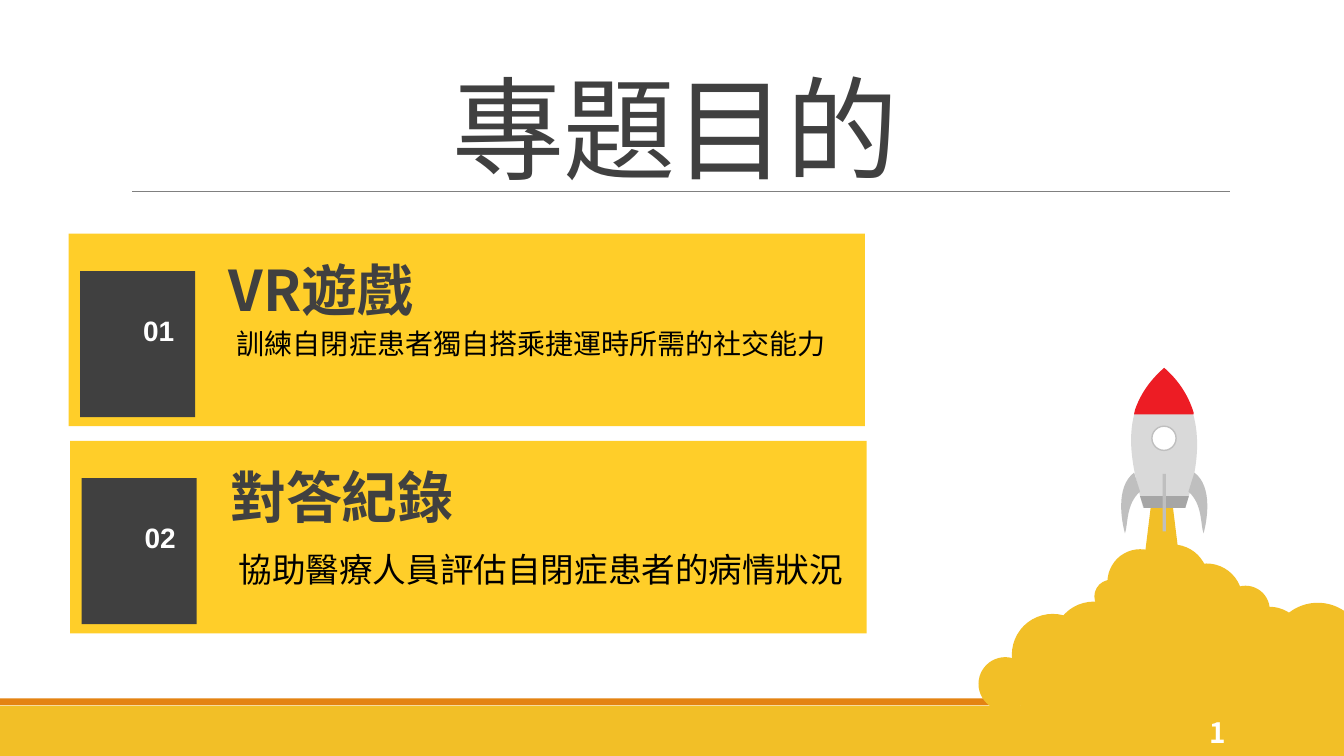
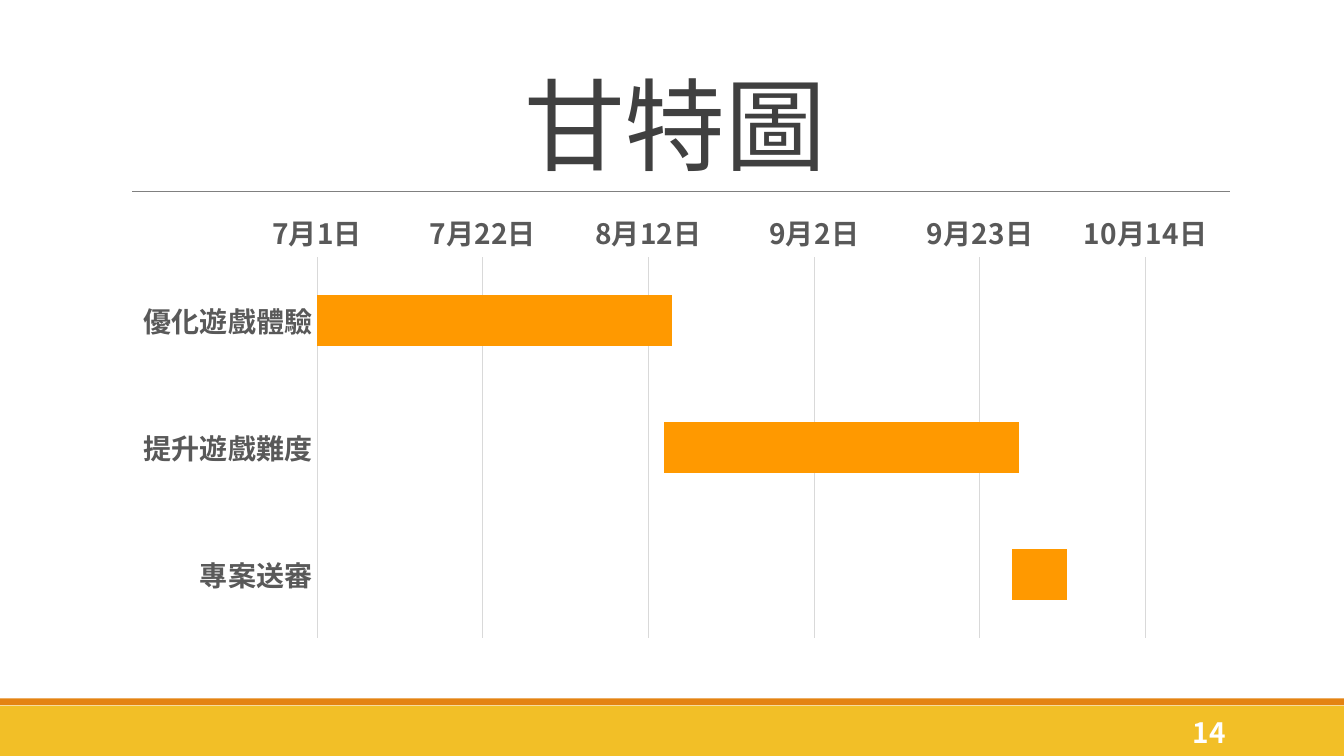
"""Build two project slides: the goals with a rocket, and a Gantt chart."""
from dataclasses import dataclass

from lxml import etree
from pptx import Presentation
from pptx import util as u
from pptx.chart.data import CategoryChartData
from pptx.dml.color import RGBColor
from pptx.enum import chart as ch, shapes, text
from pptx.oxml.ns import qn

Cm, Pt = u.Cm, u.Pt
KIND = shapes.MSO_SHAPE
ANCHOR, ALIGN = text.MSO_ANCHOR, text.PP_ALIGN


@dataclass(frozen=True)
class Theme:
    band: str = "F2BF27"
    stripe: str = "E48312"
    rule: str = "808080"
    dark: str = "404040"
    card: str = "FFCE29"
    white: str = "FFFFFF"
    black: str = "000000"
    hull: str = "D9D9D9"
    base: str = "A6A6A6"
    fin: str = "BFBFBF"
    nose: str = "ED1C24"
    axis: str = "595959"
    grid: str = "D9D9D9"
    bar: str = "FF9900"
    font: str = "Noto Sans CJK JP"
    number_font: str = "Arial"
    heading: float = 40
    label: float = 20


T = Theme()
WIDTH, HEIGHT = 33.87, 19.05

GOALS = {
    "title": "專題目的", "title_size": 80.1, "title_top": 2.46, "title_inset": 1.61, "page": "1",
    "cards": [
        ("01", "VR遊戲", "訓練自閉症患者獨自搭乘捷運時所需的社交能力", 20, 2.21, 1.12),
        ("02", "對答紀錄", "協助醫療人員評估自閉症患者的病情狀況", 24, 2.59, 1.27),
    ],
}
GANTT = {
    "title": "甘特圖", "title_size": 72, "title_top": 2.26, "title_inset": 1.67, "page": "14",
    "first_day": 44013, "last_day": 44118, "step": 21,
    "tasks": [("優化遊戲體驗", 44013, 45), ("提升遊戲難度", 44057, 45), ("專案送審", 44101, 7)],
}

SMOKE = [
    (27.91, 13.84, 1.65), (27.58, 14.61, 0.84), (26.54, 15.16, 2.06), (25.5, 15.47, 2.06),
    (24.66, 16.56, 1.35), (25.73, 17.04, 1.35), (26.67, 15.67, 3.18), (29.16, 17.4, 1.35),
    (30.3, 17.35, 1.35), (30.96, 16.43, 2.36), (32.69, 16.92, 1.35), (32.03, 15.19, 2.36),
    (28.65, 13.72, 1.8), (29.51, 14.2, 1.8), (30.78, 14.76, 1.22), (31.09, 15.29, 1.8),
    (27.86, 14.58, 3.68),
]
NOSE_TIP = (29.34, 9.27)
HULL = [(-0.53, 3.53),
        ((-0.81, 2.44), (-1.24, 1.07), (0, 0)),
        ((1.22, 1.12), (0.81, 2.64), (0.53, 3.53))]
BASE = [(-0.61, 3.23), (0.62, 3.23), (0.53, 3.53), (-0.51, 3.53)]
NOSE = [(0, 0),
        ((0.38, 0.33), (0.61, 0.71), (0.74, 1.12)),
        (0.74, 1.17), (-0.76, 1.17), (-0.74, 1.07),
        ((-0.61, 0.69), (-0.38, 0.33), (0, 0))]
FIN = [(-0.76, 2.64), (-0.61, 3.12),
       ((-0.97, 3.43), (-0.91, 3.96), (-0.99, 4.17)),
       ((-1.07, 3.89), (-1.24, 3.0), (-0.76, 2.64))]


def rgb(value):
    return RGBColor.from_string(value)


def style_font(font, size, color, bold=False, name=T.font):
    font.size, font.bold, font.name = Pt(size), bold, name
    font.color.rgb = rgb(color)
    etree.SubElement(font._rPr, qn("a:ea")).set("typeface", name)


def add_text(parent, content, box, size=T.label, color=T.white, bold=False, name=T.font,
             align=ALIGN.LEFT, anchor=ANCHOR.MIDDLE, indent=0, inset=0.13,
             line_spacing=None, tracking=None):
    sp = parent.shapes.add_textbox(*map(Cm, box))
    tf = sp.text_frame
    tf.word_wrap = True
    tf.vertical_anchor = anchor
    tf.margin_bottom = Cm(inset)
    p = tf.paragraphs[0]
    p.alignment = align
    if line_spacing:
        p.line_spacing = line_spacing
    if indent:
        p.level = 1
        p._p.get_or_add_pPr().set("marL", str(Cm(indent)))
        p._p.get_or_add_pPr().set("indent", "0")
    r = p.add_run()
    r.text = content
    style_font(r.font, size, color, bold, name)
    if tracking:
        r.font._rPr.set("spc", str(tracking))


def paint(sp, fill, line=None):
    sp.shadow.inherit = False
    sp.fill.solid()
    sp.fill.fore_color.rgb = rgb(fill)
    if line:
        sp.line.color.rgb = rgb(line)
        sp.line.width = Pt(1)
    else:
        sp.line.fill.background()


def add_shape(parent, kind, box, fill, line=None):
    paint(parent.shapes.add_shape(kind, *map(Cm, box)), fill, line)


def flatten(outline, steps=16):
    points = [outline[0]]
    for part in outline[1:]:
        if len(part) == 2:
            points.append(part)
            continue
        a, (b, c, d) = points[-1], part
        for i in range(1, steps + 1):
            t = i / steps
            s = 1 - t
            points.append(tuple(
                s**3 * a[k] + 3 * s * s * t * b[k] + 3 * s * t * t * c[k] + t**3 * d[k]
                for k in (0, 1)))
    return points


def add_outline(parent, outline, fill, mirror=1):
    def place(point):
        return Cm(NOSE_TIP[0] + mirror * point[0]), Cm(NOSE_TIP[1] + point[1])

    points = [place(point) for point in flatten(outline)]
    left, top = (min(values) for values in zip(*points))
    builder = parent.shapes.build_freeform(*points[0])
    builder.add_line_segments(points[1:], close=True)
    sp = builder.convert_to_shape()
    curve = next(sp._element.iter(qn("a:path")))
    for child in list(curve):
        curve.remove(child)
    for i, part in enumerate(outline):
        bends = len(part) == 3
        tag = "a:moveTo" if i == 0 else "a:cubicBezTo" if bends else "a:lnTo"
        segment = etree.SubElement(curve, qn(tag))
        for point in part if bends else [part]:
            x, y = place(point)
            pt = etree.SubElement(segment, qn("a:pt"))
            pt.set("x", str(x - left))
            pt.set("y", str(y - top))
    etree.SubElement(curve, qn("a:close"))
    paint(sp, fill)


def add_frame(prs, content):
    slide = prs.slides.add_slide(prs.slide_layouts[6])
    add_shape(slide, KIND.RECTANGLE, (0, 17.78, WIDTH, 1.27), T.band)
    add_shape(slide, KIND.RECTANGLE, (0, 17.6, WIDTH, 0.17), T.stripe)
    rule = slide.shapes.add_connector(
        shapes.MSO_CONNECTOR.STRAIGHT, Cm(3.33), Cm(4.83), Cm(31), Cm(4.83))
    rule.line.color.rgb = rgb(T.rule)
    rule.line.width = Pt(0.5)
    etree.SubElement(rule._element.spPr, qn("a:effectLst"))
    add_text(slide, content["title"], (3.05, content["title_top"], 27.94, 4.04),
             size=content["title_size"], color=T.dark, align=ALIGN.CENTER,
             anchor=ANCHOR.BOTTOM, inset=content["title_inset"],
             line_spacing=0.85, tracking=-50)
    return slide


def add_page(slide, content):
    add_text(slide, content["page"], (27.51, 17.95, 3.63, 1.02), bold=True, align=ALIGN.RIGHT)


def add_rocket(slide):
    smoke = slide.shapes.add_group_shape()
    for x, y, d in SMOKE:
        add_shape(smoke, KIND.OVAL, (x, y, d, d), T.band)
    add_shape(smoke, KIND.TRAPEZOID, (28.76, 12.62, 1.04, 2.11), T.band)
    rocket = slide.shapes.add_group_shape()
    for outline, fill in ((HULL, T.hull), (BASE, T.base), (NOSE, T.nose)):
        add_outline(rocket, outline, fill)
    x, y = NOSE_TIP
    add_shape(rocket, KIND.OVAL, (x - 0.31, y + 1.47, 0.61, 0.61), T.white, T.fin)
    add_shape(rocket, KIND.RECTANGLE, (x - 0.04, y + 2.67, 0.08, 1.45), T.fin)
    for mirror in (1, -1):
        add_outline(rocket, FIN, T.fin, mirror)


def add_card(slide, index, card):
    number, heading, detail, size, detail_top, detail_height = card
    x, y = 1.73 + 0.04 * index, 5.89 + 5.22 * index
    add_shape(slide, KIND.RECTANGLE, (x, y, 20.07, 4.85), T.card)
    add_shape(slide, KIND.RECTANGLE, (x + 0.29, y + 0.94, 2.9, 3.68), T.dark)
    words = slide.shapes.add_group_shape()
    add_text(words, detail, (x + 3.43, y + detail_top, 16.43, detail_height),
             size=size, color=T.black, indent=0.56)
    add_text(words, heading, (x + 3.78, y + 0.41, 15.47, 1.96),
             size=T.heading, color=T.dark, bold=True)
    add_text(slide, number, (x + 0.4, y + 1.88, 2.51, 1.12), bold=True,
             name=T.number_font, align=ALIGN.RIGHT)


def add_gantt(slide, plan):
    names, starts, days = zip(*plan["tasks"])
    data = CategoryChartData()
    data.categories = names
    for i, values in enumerate((starts, days), 1):
        data.add_series(f"Series {i}", values)
    chart = slide.shapes.add_chart(
        ch.XL_CHART_TYPE.BAR_STACKED, *map(Cm, (3.05, 5.12, 27.94, 11.18)), data).chart
    chart.has_legend = chart.has_title = False
    plot = chart.plots[0]
    plot.gap_width, plot.overlap, plot.vary_by_categories = 150, 100, False
    start, length = plot.series
    start.format.fill.background()
    length.format.fill.solid()
    length.format.fill.fore_color.rgb = rgb(T.bar)

    cats, vals = chart.category_axis, chart.value_axis
    for axis in (cats, vals):
        axis.major_tick_mark = axis.minor_tick_mark = ch.XL_TICK_MARK.NONE
        style_font(axis.tick_labels.font, T.label, T.axis, bold=True)
    cats.reverse_order = True
    vals.minimum_scale, vals.maximum_scale = plan["first_day"], plan["last_day"]
    vals.major_unit = plan["step"]
    vals.tick_labels.number_format = 'm"月"d"日"'
    vals.tick_labels.number_format_is_linked = False
    vals.format.line.fill.background()
    for line in (cats.format.line, vals.major_gridlines.format.line):
        line.color.rgb = rgb(T.grid)
        line.width = Pt(0.75)


def main():
    prs = Presentation()
    prs.slide_width, prs.slide_height = Cm(WIDTH), Cm(HEIGHT)

    goals = add_frame(prs, GOALS)
    add_rocket(goals)
    for index, card in enumerate(GOALS["cards"]):
        add_card(goals, index, card)
    add_page(goals, GOALS)

    gantt = add_frame(prs, GANTT)
    add_gantt(gantt, GANTT)
    add_page(gantt, GANTT)
    prs.save("out.pptx")


if __name__ == "__main__":
    main()
